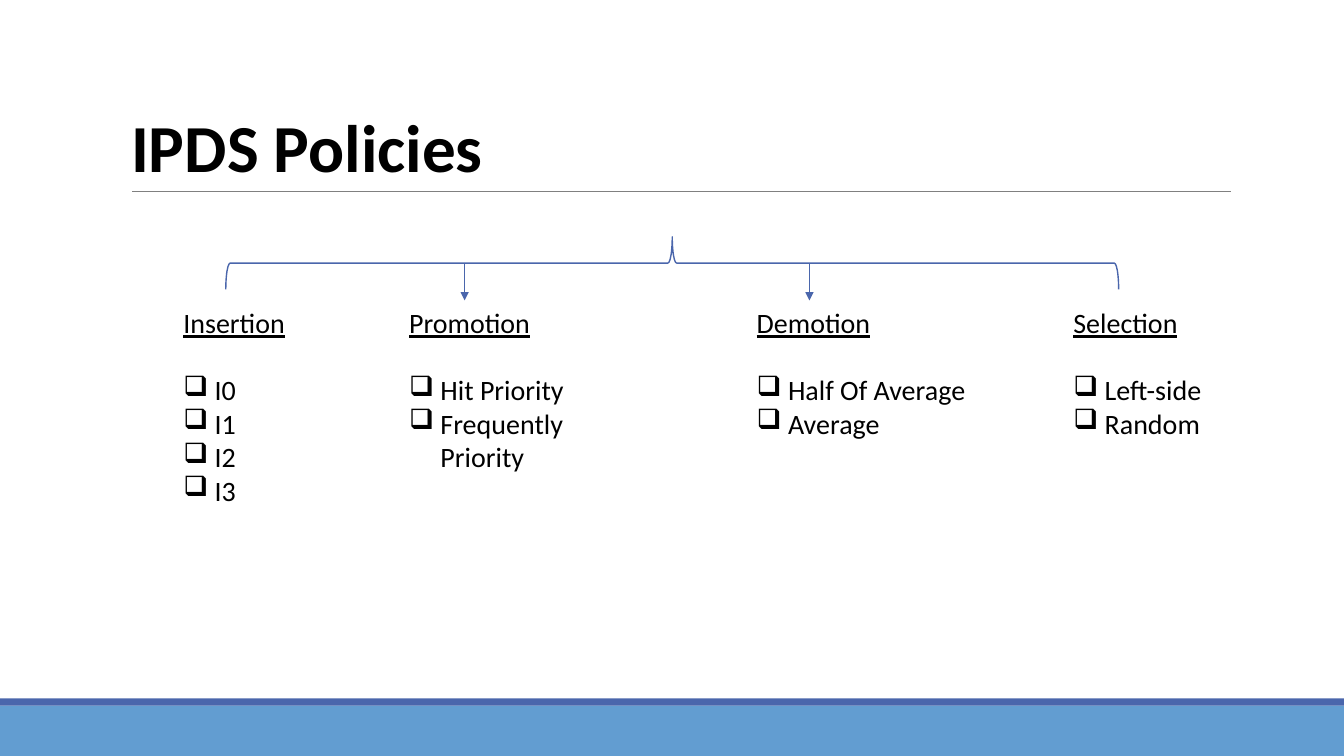
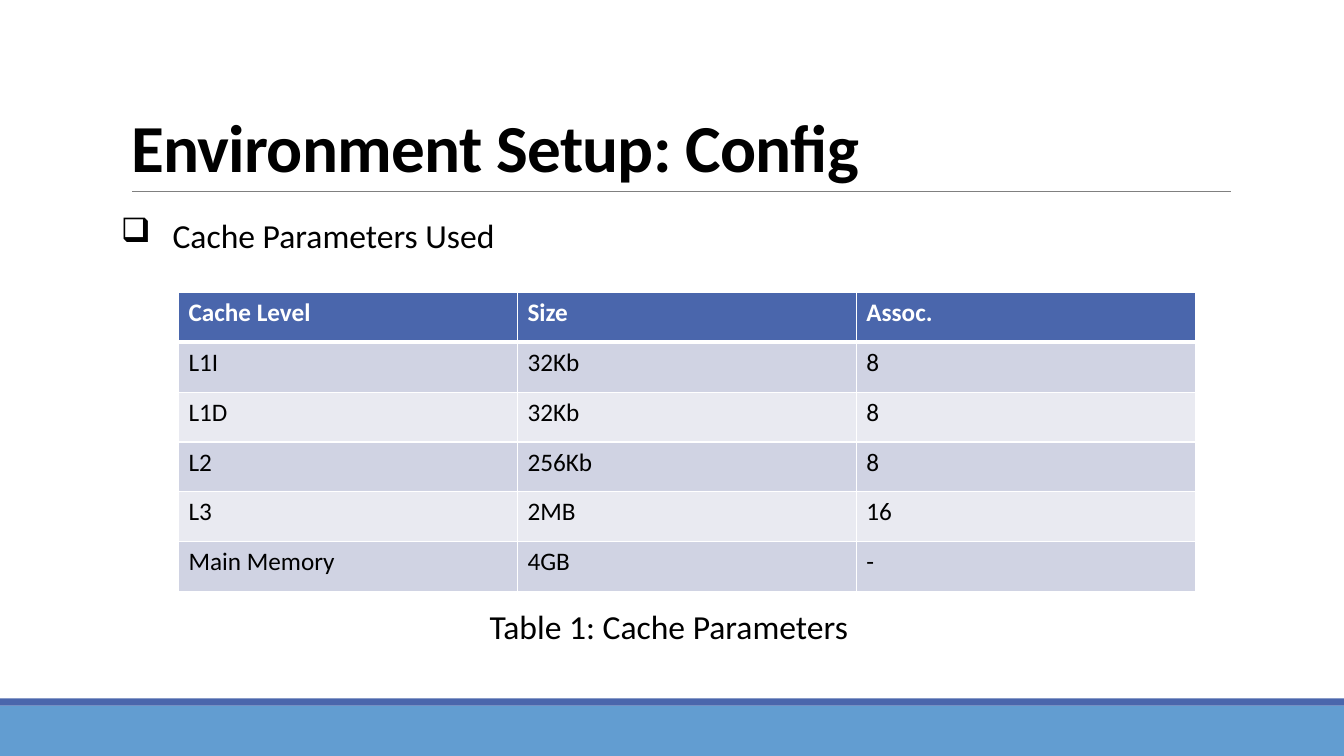
import pptx
import pptx.dml.color
import pptx.enum.shapes
import pptx.enum.text
import pptx.oxml
import pptx.oxml.ns
import pptx.util

Cm = pptx.util.Cm
Pt = pptx.util.Pt
RGBColor = pptx.dml.color.RGBColor
MSO_SHAPE = pptx.enum.shapes.MSO_SHAPE
STRAIGHT = pptx.enum.shapes.MSO_CONNECTOR.STRAIGHT
NS = pptx.oxml.ns.nsdecls("a")

FONT = "Calibri"
BLACK = RGBColor(0x00, 0x00, 0x00)
WHITE = RGBColor(0xFF, 0xFF, 0xFF)
GRAY = RGBColor(0x80, 0x80, 0x80)
INDIGO = RGBColor(0x4A, 0x66, 0xAC)
SKY = RGBColor(0x62, 0x9D, 0xD1)
ROW_DARK = RGBColor(0xD0, 0xD3, 0xE3)
ROW_LIGHT = RGBColor(0xE9, 0xEA, 0xF1)


def add_run(paragraph, text, size, color=BLACK, bold=False, underline=False):
    run = paragraph.add_run()
    run.text = text
    run.font.name = FONT
    run.font.size = Pt(size)
    run.font.color.rgb = color
    run.font.bold = bold
    run.font.underline = underline
    return run


def add_bullet(paragraph, indent):
    properties = paragraph._p.get_or_add_pPr()
    properties.set("marL", str(indent))
    properties.set("indent", str(-indent))
    properties.append(pptx.oxml.parse_xml(f'<a:buChar {NS} char="❑"/>'))


deck = pptx.Presentation()
deck.slide_width, deck.slide_height = Cm(33.87), Cm(19.05)
title_only = deck.slide_layouts[5]
policies = deck.slides.add_slide(title_only)
setup = deck.slides.add_slide(title_only)

# Shared frame: bottom bands, title and the rule under it
rules_and_arrows = []
for slide, heading, spacing in (
    (policies, "IPDS Policies", 0),
    (setup, "Environment Setup: Config", -50),
):
    for top, height, color in ((17.78, 1.27, SKY), (17.6, 0.18, INDIGO)):
        band = slide.shapes.add_shape(
            MSO_SHAPE.RECTANGLE, 0, Cm(top), deck.slide_width, Cm(height))
        band.shadow.inherit = False
        band.fill.solid()
        band.fill.fore_color.rgb = color
        band.line.fill.background()

    rule = slide.shapes.add_connector(
        STRAIGHT, Cm(3.33), Cm(4.82), Cm(31.01), Cm(4.82))
    rule.line.color.rgb = GRAY
    rule.line.width = Pt(0.5)
    rules_and_arrows.append(rule)

    title = slide.shapes.title
    title.left, title.top = Cm(3.05), Cm(2.08)
    title.width, title.height = Cm(27.94), Cm(2.74)
    title.text_frame.auto_size = pptx.enum.text.MSO_AUTO_SIZE.NONE
    title.text_frame.vertical_anchor = pptx.enum.text.MSO_ANCHOR.BOTTOM
    line = title.text_frame.paragraphs[0]
    line.alignment = pptx.enum.text.PP_ALIGN.LEFT
    line.line_spacing = 0.85
    title_run = add_run(line, heading, 48, bold=True)
    title_run.font._element.set("spc", str(spacing))

# Slide 1: brace over the four policies
brace = policies.shapes.add_shape(
    MSO_SHAPE.LEFT_BRACE, Cm(16.28), Cm(-4.62), Cm(1.32), Cm(22.5))
brace.rotation = 90
brace.shadow.inherit = False
brace.fill.background()
brace.line.color.rgb = INDIGO
brace.line.width = Pt(1)

# Policy columns
for left, width, policy, options in (
    (4.37, 3.28, "Insertion", ("I0", "I1", "I2", "I3")),
    (10.06, 6.38, "Promotion", ("Hit Priority", "Frequently Priority")),
    (18.82, 5.77, "Demotion", ("Half Of Average", "Average")),
    (26.8, 3.96, "Selection", ("Left-side", "Random")),
):
    column = policies.shapes.add_textbox(
        Cm(left), Cm(7.57), Cm(width), Cm(5)).text_frame
    column.word_wrap = True
    column.paragraphs[0].space_after = Pt(24)
    add_run(column.paragraphs[0], policy, 20, underline=True)
    for option in options:
        entry = column.add_paragraph()
        add_bullet(entry, Cm(0.79))
        add_run(entry, option, 20)

# Arrows to the two middle policies
for x in (11.71, 20.4):
    arrow = policies.shapes.add_connector(
        STRAIGHT, Cm(x), Cm(6.63), Cm(x), Cm(7.57))
    arrow.line.color.rgb = INDIGO
    arrow.line.width = Pt(1)
    arrow.line._get_or_add_ln().append(
        pptx.oxml.parse_xml(f'<a:tailEnd {NS} type="triangle"/>'))
    rules_and_arrows.append(arrow)

for connector in rules_and_arrows:
    connector._element.spPr.append(pptx.oxml.parse_xml(f"<a:effectLst {NS}/>"))

# Slide 2: lead bullet
lead = setup.shapes.add_textbox(
    Cm(3.05), Cm(5.13), Cm(27.94), Cm(1.8)).text_frame
lead.word_wrap = True
lead.margin_left = lead.margin_right = 0
lead_line = lead.paragraphs[0]
lead_line.line_spacing = 1.15
lead_line.space_before = Pt(10)
add_bullet(lead_line, Cm(1.3))
add_run(lead_line, "Cache Parameters Used", 24)

# Cache table
cache_rows = (
    ("Cache Level", "Size", "Assoc."),
    ("L1I", "32Kb", "8"),
    ("L1D", "32Kb", "8"),
    ("L2", "256Kb", "8"),
    ("L3", "2MB", "16"),
    ("Main Memory", "4GB", "-"),
)
cache_table = setup.shapes.add_table(
    len(cache_rows), 3, Cm(4.5), Cm(7.37), Cm(25.62), Cm(7.54)).table
for row, values in enumerate(cache_rows):
    is_header = row == 0
    fill = INDIGO if is_header else ROW_DARK if row % 2 else ROW_LIGHT
    for col, value in enumerate(values):
        cell = cache_table.cell(row, col)
        cell.fill.solid()
        cell.fill.fore_color.rgb = fill
        add_run(cell.text_frame.paragraphs[0], value, 18,
                color=WHITE if is_header else BLACK, bold=is_header)
        # The line between header and body is heavier
        weights = {"L": 1, "R": 1, "T": 3 if row == 1 else 1,
                   "B": 3 if is_header else 1}
        for place, (side, weight) in enumerate(weights.items()):
            cell._tc.get_or_add_tcPr().insert(place, pptx.oxml.parse_xml(
                f'<a:ln{side} {NS} w="{Pt(weight)}"><a:solidFill>'
                f'<a:srgbClr val="{WHITE}"/></a:solidFill></a:ln{side}>'))

# Table caption
caption = setup.shapes.add_textbox(
    Cm(12.09), Cm(15.14), Cm(9.65), Cm(1.27)).text_frame
caption.word_wrap = True
add_run(caption.paragraphs[0], "Table 1: Cache Parameters", 24)

deck.save("out.pptx")
